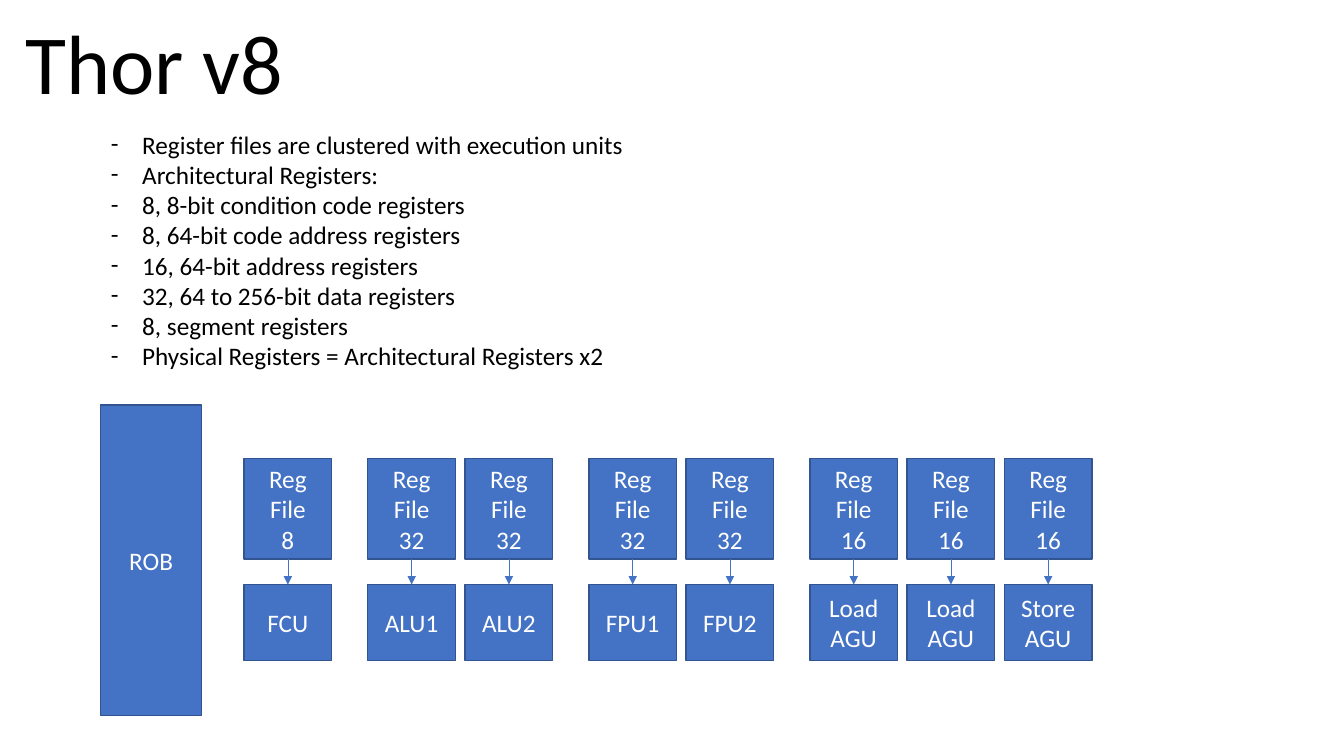
from dataclasses import dataclass

from lxml import etree
from pptx import Presentation
from pptx import util as u
from pptx.dml import color
from pptx.enum import shapes, text
from pptx.oxml import ns


@dataclass(frozen=True)
class Theme:
    font: str = "Calibri"
    ink: color.RGBColor = color.RGBColor(0, 0, 0)
    fill: color.RGBColor = color.RGBColor(0x44, 0x72, 0xC4)
    edge: color.RGBColor = color.RGBColor(0x32, 0x54, 0x91)
    label: color.RGBColor = color.RGBColor(255, 255, 255)
    title_size: int = 60
    text_size: int = 18


THEME = Theme()

FEATURES = [
    "Register files are clustered with execution units",
    "Architectural Registers:",
    "8, 8-bit condition code registers",
    "8, 64-bit code address registers",
    "16, 64-bit address registers",
    "32, 64 to 256-bit data registers",
    "8, segment registers",
    "Physical Registers = Architectural Registers x2",
]

CLUSTERS = [
    (8, ["FCU"]),
    (32, ["ALU1", "ALU2"]),
    (32, ["FPU1", "FPU2"]),
    (16, ["Load\nAGU", "Load\nAGU", "Store\nAGU"]),
]


def place(shape, left, top, width, height):
    shape.left, shape.top = u.Cm(left), u.Cm(top)
    shape.width, shape.height = u.Cm(width), u.Cm(height)


def style_text(frame, size, ink, align):
    for para in frame.paragraphs:
        para.alignment = align
        for span in para.runs:
            span.font.name = THEME.font
            span.font.size = u.Pt(size)
            span.font.color.rgb = ink


def add_title(page, wording, box):
    title = page.shapes.title
    place(title, *box)
    frame = title.text_frame
    frame.text = wording
    frame.auto_size = text.MSO_AUTO_SIZE.NONE
    frame.vertical_anchor = text.MSO_ANCHOR.BOTTOM
    frame.paragraphs[0].line_spacing = 0.9
    style_text(frame, THEME.title_size, THEME.ink, text.PP_ALIGN.LEFT)


def add_dash(para):
    props = para._p.get_or_add_pPr()
    indent = u.Cm(0.79)
    props.set("marL", str(indent))
    props.set("indent", str(-indent))
    etree.SubElement(props, ns.qn("a:buFont"), typeface=THEME.font)
    etree.SubElement(props, ns.qn("a:buChar"), char="-")


def add_features(page, lines, box):
    body = page.placeholders[1]
    place(body, *box)
    frame = body.text_frame
    frame.text = "\n".join(lines)
    frame.word_wrap = False
    frame.auto_size = text.MSO_AUTO_SIZE.SHAPE_TO_FIT_TEXT
    for para in frame.paragraphs:
        add_dash(para)
        para.space_before = u.Pt(0)
    style_text(frame, THEME.text_size, THEME.ink, text.PP_ALIGN.LEFT)


def add_block(page, wording, left, top, width, height):
    block = page.shapes.add_shape(
        shapes.MSO_SHAPE.RECTANGLE, *map(u.Cm, (left, top, width, height)))
    block.shadow.inherit = False
    block.fill.solid()
    block.fill.fore_color.rgb = THEME.fill
    block.line.color.rgb = THEME.edge
    block.line.width = u.Pt(1)
    frame = block.text_frame
    frame.text = wording
    frame.word_wrap = True
    frame.vertical_anchor = text.MSO_ANCHOR.MIDDLE
    style_text(frame, THEME.text_size, THEME.label, text.PP_ALIGN.CENTER)
    return block


def add_arrow(page, source, target):
    arrow = page.shapes.add_connector(shapes.MSO_CONNECTOR.STRAIGHT, 0, 0, 0, 0)
    arrow.begin_connect(source, 2)
    arrow.end_connect(target, 0)
    arrow.line.color.rgb = THEME.fill
    arrow.line.width = u.Pt(0.5)
    etree.SubElement(arrow.line._get_or_add_ln(), ns.qn("a:tailEnd"), type="triangle")
    etree.SubElement(arrow._element.spPr, ns.qn("a:effectLst"))


def add_pipeline(page, clusters, box):
    left, top, _, height = box
    block_width, unit_gap, cluster_gap = 2.21, 0.24, 0.91
    add_block(page, "ROB", left, top, 2.54, height)
    x = left + 3.61
    for registers, units in clusters:
        for name in units:
            reg_file = add_block(
                page, f"Reg File\n{registers}", x, top + 1.34, block_width, 2.54)
            unit = add_block(page, name, x, top + 4.52, block_width, 1.91)
            add_arrow(page, reg_file, unit)
            x += block_width + unit_gap
        x += cluster_gap - unit_gap


def main():
    deck = Presentation()
    deck.slide_width, deck.slide_height = u.Cm(33.87), u.Cm(19.05)
    page = deck.slides.add_slide(deck.slide_layouts[1])
    add_title(page, "Thor v8", (0.38, 0.43, 25.4, 2.54))
    add_features(page, FEATURES, (2.54, 3.12, 13.59, 6.4))
    add_pipeline(page, CLUSTERS, (2.54, 10.21, 25, 7.82))
    deck.save("out.pptx")


if __name__ == "__main__":
    main()
